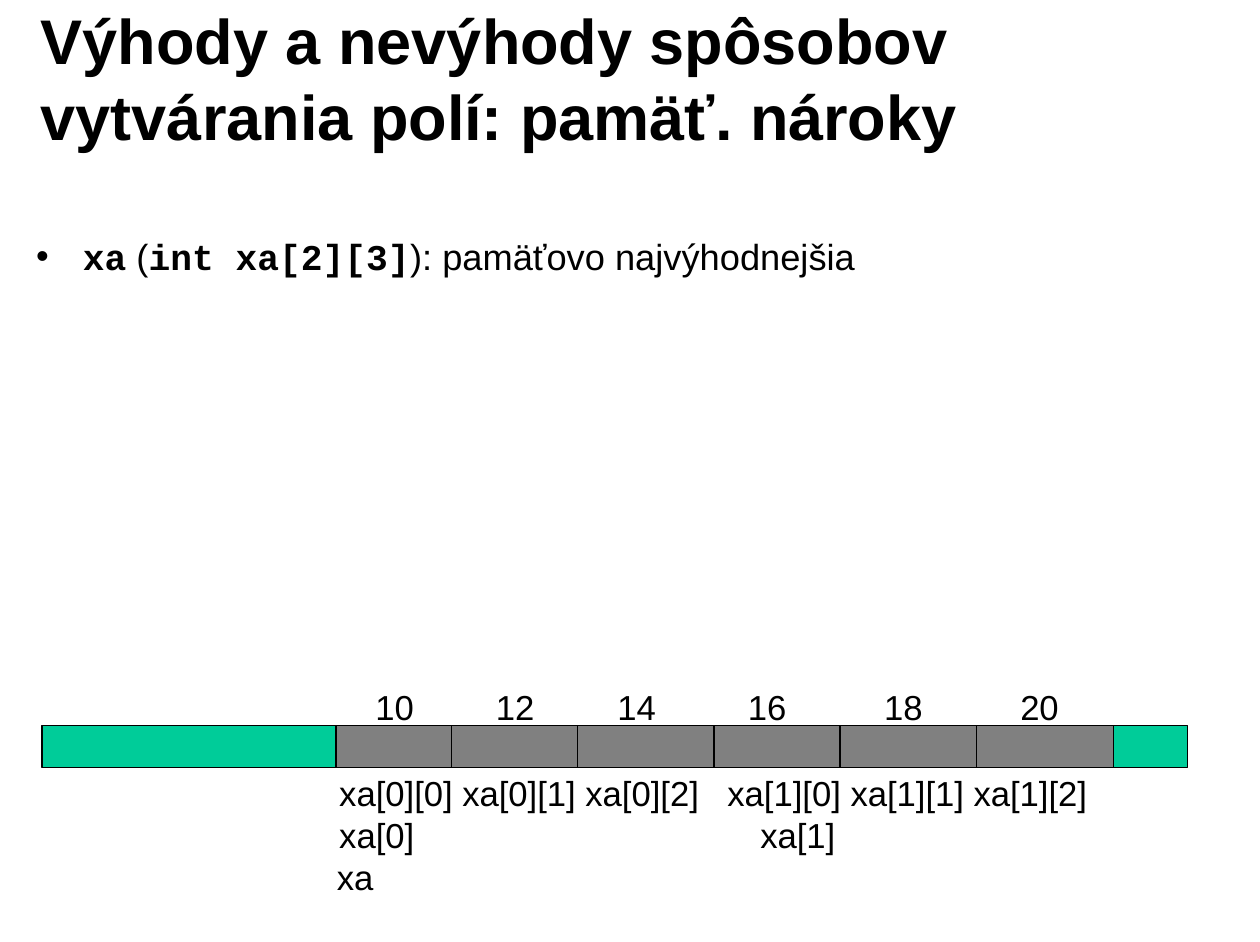
import pptx
import pptx.dml.color
import pptx.enum.shapes
import pptx.enum.text
import pptx.oxml
import pptx.oxml.ns
import pptx.util

WIDTH, HEIGHT = 11.1, 8.3
BLACK, GREY, GREEN = "000000", "808080", "00CC99"

TITLE = "Výhody a nevýhody spôsobov vytvárania polí: pamäť. nároky"
CODE = {"name": "Courier New", "bold": True}
PROSE = {"name": "Arial", "bold": False}
BULLET = [
    ("xa", CODE),
    (" (", PROSE),
    ("int xa[2][3]", CODE),
    ("): pamäťovo najvýhodnejšia", PROSE),
]

ROW = 0.37
BAR_TOP = 6.39
SEGMENTS = [(0.37, 2.96, GREEN), (2.96, 9.81, GREY), (9.81, 10.46, GREEN)]
CELL_BORDERS = [3.98, 5.09, 6.29, 7.4, 8.6]

# Each row of labels: top, then (text, left) pairs
NAMES_TOP = BAR_TOP + ROW - 0.01
LABEL_ROWS = [
    (BAR_TOP - 0.4, [("10", 3.21), ("12", 4.27), ("14", 5.34),
                     ("16", 6.49), ("18", 7.69), ("20", 8.89)]),
    (NAMES_TOP, [("xa[0][0] xa[0][1] xa[0][2]", 2.89),
                 ("xa[1][0] xa[1][1] xa[1][2]", 6.31)]),
    (NAMES_TOP + ROW, [("xa[0]", 2.89), ("xa[1]", 6.6)]),
    (NAMES_TOP + 2 * ROW, [("xa", 2.87)]),
]


def inches(*values):
    return [pptx.util.Inches(value) for value in values]


def colour(code):
    return pptx.dml.color.RGBColor.from_string(code)


def set_font(font, size, **formats):
    formats = {"name": "Arial", "bold": False, **formats}
    for key, value in formats.items():
        setattr(font, key, value)
    font.size = pptx.util.Pt(size)
    font.color.rgb = colour(BLACK)


def set_frame(frame, side, end, wrap, anchor):
    formats = {
        "margin_left": pptx.util.Inches(side),
        "margin_right": pptx.util.Inches(side),
        "margin_top": pptx.util.Inches(end),
        "margin_bottom": pptx.util.Inches(end),
        "word_wrap": wrap,
        "auto_size": pptx.enum.text.MSO_AUTO_SIZE.NONE,
        "vertical_anchor": anchor,
    }
    for key, value in formats.items():
        setattr(frame, key, value)


def add_title(page):
    title = page.shapes.title
    title.left, title.top, title.width, title.height = inches(0.25, 0.17, 8.91, 1.02)
    set_frame(title.text_frame, 0.11, 0.06, True, pptx.enum.text.MSO_ANCHOR.MIDDLE)
    para = title.text_frame.paragraphs[0]
    para.alignment = pptx.enum.text.PP_ALIGN.LEFT
    span = para.add_run()
    span.text = TITLE
    set_font(span.font, 40, bold=True)


def add_bullet(page):
    box = page.shapes.add_textbox(*inches(0.21, 2, 10.66, 3.45))
    set_frame(box.text_frame, 0.11, 0.06, True, pptx.enum.text.MSO_ANCHOR.TOP)
    para = box.text_frame.paragraphs[0]
    settings = para._p.get_or_add_pPr()
    indent = pptx.util.Inches(0.41)
    settings.set("marL", str(indent))
    settings.set("indent", str(-indent))
    namespace = pptx.oxml.ns.nsdecls("a")
    for element in (
        f'<a:buClr {namespace}><a:srgbClr val="{BLACK}"/></a:buClr>',
        f'<a:buFont {namespace} typeface="Arial"/>',
        f'<a:buChar {namespace} char="•"/>',
    ):
        settings.append(pptx.oxml.parse_xml(element))
    for text, formats in BULLET:
        span = para.add_run()
        span.text = text
        set_font(span.font, 23, **formats)


def add_memory_bar(page):
    for left, right, fill in SEGMENTS:
        segment = page.shapes.add_shape(
            pptx.enum.shapes.MSO_SHAPE.RECTANGLE,
            *inches(left, BAR_TOP, right - left, ROW))
        segment.shadow.inherit = False
        segment.fill.solid()
        segment.fill.fore_color.rgb = colour(fill)
        segment.line.color.rgb = colour(BLACK)
        segment.line.width = pptx.util.Pt(0.75)
    for x in CELL_BORDERS:
        border = page.shapes.add_connector(
            pptx.enum.shapes.MSO_CONNECTOR.STRAIGHT,
            *inches(x, BAR_TOP, x, BAR_TOP + ROW))
        border.line.color.rgb = colour(BLACK)
        border.line.width = pptx.util.Pt(0.75)
        border._element.spPr.append(pptx.oxml.parse_xml(
            f'<a:effectLst {pptx.oxml.ns.nsdecls("a")}/>'))


def add_labels(page):
    for top, labels in LABEL_ROWS:
        for text, left in labels:
            # Average character width, plus both side margins
            width = 0.2 + (0.17 if len(text) == 2 else 0.12) * len(text)
            box = page.shapes.add_textbox(*inches(left, top, width, 0.47))
            set_frame(box.text_frame, 0.1, 0.05, False, pptx.enum.text.MSO_ANCHOR.TOP)
            para = box.text_frame.paragraphs[0]
            para.alignment = pptx.enum.text.PP_ALIGN.LEFT
            span = para.add_run()
            span.text = text
            set_font(span.font, 22)


def main():
    deck = pptx.Presentation()
    deck.slide_width, deck.slide_height = inches(WIDTH, HEIGHT)
    page = deck.slides.add_slide(deck.slide_layouts.get_by_name("Title Only"))
    add_title(page)
    add_bullet(page)
    add_memory_bar(page)
    add_labels(page)
    deck.save("out.pptx")


if __name__ == "__main__":
    main()
